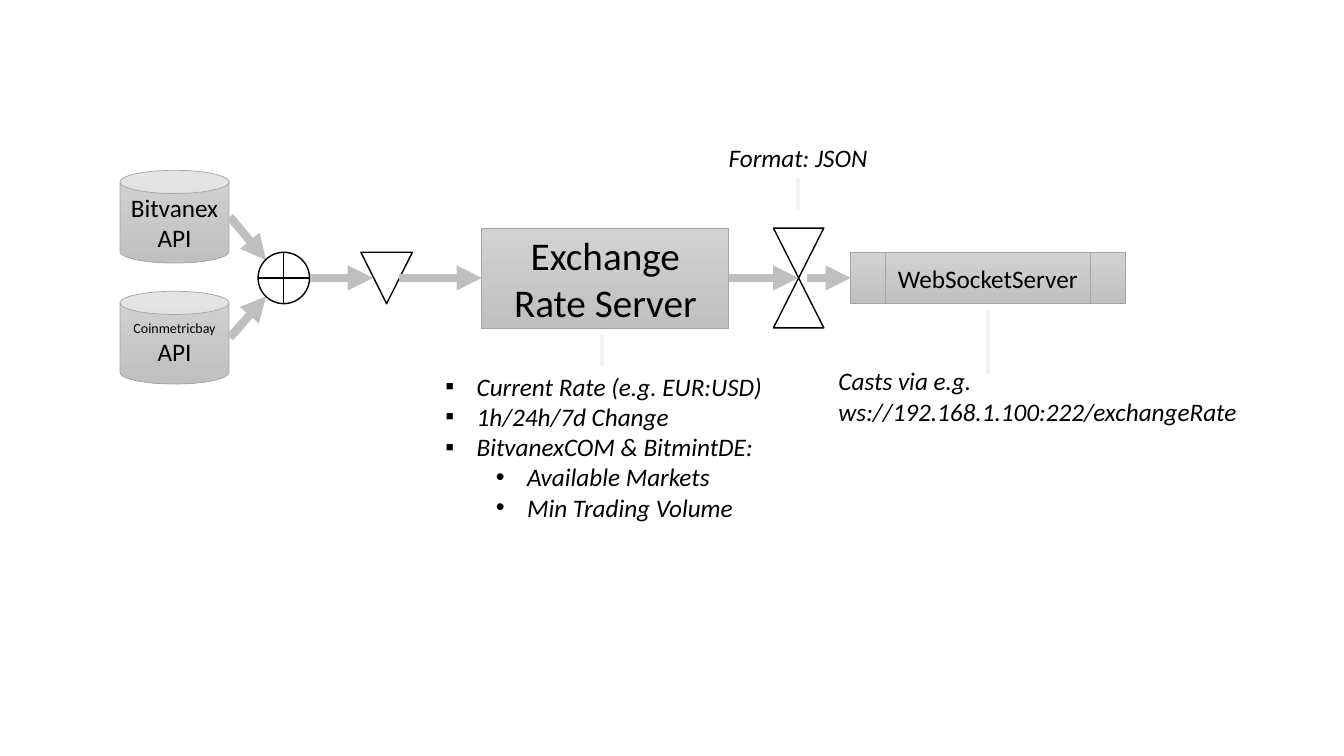
from lxml.etree import SubElement
from pptx import Presentation
from pptx.dml.color import RGBColor
from pptx.enum.shapes import MSO_CONNECTOR, MSO_SHAPE
from pptx.enum.text import MSO_ANCHOR, MSO_AUTO_SIZE, PP_ALIGN
from pptx.oxml.ns import qn
from pptx.util import Inches, Pt


def rgb(color):
    return RGBColor.from_string(color)


class Diagram:
    font = "Calibri"
    ink = "000000"
    paper = "FFFFFF"
    edge = "A5A5A5"
    gradient = ("D2D2D2", "C0C0C0")
    arrow_color = "BFBFBF"
    leader_color = "F2F2F2"
    axis = 36.77

    def __init__(self, prs):
        self.prs = prs
        self.s = prs.slides.add_slide(prs.slide_layouts[6])

    def x(self, share):
        return round(self.prs.slide_width * share / 100)

    def y(self, share):
        return round(self.prs.slide_height * share / 100)

    def box(self, left, top, width, height):
        return self.x(left), self.y(top), self.x(width), self.y(height)

    def run(self, p, text, size=18, italic=False):
        r = p.add_run()
        r.text = text
        r.font.name = self.font
        r.font.size = Pt(size)
        r.font.italic = italic
        r.font.color.rgb = rgb(self.ink)

    def shape(self, kind, left, width, height, top=None):
        if top is None:
            top = self.axis - height / 2
        sp = self.s.shapes.add_shape(kind, *self.box(left, top, width, height))
        sp.shadow.inherit = False
        return sp

    def block(self, kind, left, width, height, lines, top=None):
        sp = self.shape(kind, left, width, height, top)
        sp.fill.gradient()
        sp.fill.gradient_angle = 270
        for stop, color in zip(sp.fill.gradient_stops, self.gradient):
            stop.color.rgb = rgb(color)
        sp.line.color.rgb = rgb(self.edge)
        sp.line.width = Pt(0.5)
        tf = sp.text_frame
        tf.vertical_anchor = MSO_ANCHOR.MIDDLE
        for i, (text, size) in enumerate(lines):
            p = tf.add_paragraph() if i else tf.paragraphs[0]
            p.alignment = PP_ALIGN.CENTER
            self.run(p, text, size)

    def symbol(self, kind, left, width, height):
        sp = self.shape(kind, left, width, height)
        sp.fill.solid()
        sp.fill.fore_color.rgb = rgb(self.paper)
        sp.line.color.rgb = rgb(self.ink)
        sp.line.width = Pt(1)

    def line(self, x1, y1, x2, y2, color, width):
        c = self.s.shapes.add_connector(
            MSO_CONNECTOR.STRAIGHT, self.x(x1), self.y(y1), self.x(x2), self.y(y2))
        c.line.color.rgb = rgb(color)
        c.line.width = Pt(width)
        SubElement(c._element.spPr, qn("a:effectLst"))
        return c

    def arrow(self, x1, x2, y1=axis, y2=axis):
        c = self.line(x1, y1, x2, y2, self.arrow_color, 6)
        ln = c._element.spPr.find(qn("a:ln"))
        SubElement(ln, qn("a:tailEnd"), type="triangle")

    def leader(self, x, top, bottom):
        self.line(x, top, x, bottom, self.leader_color, 3)

    def bullet(self, p, level):
        p.level = level
        pPr = p._p.get_or_add_pPr()
        pPr.set("marL", str(Inches(0.31 + 0.5 * level)))
        pPr.set("indent", str(Inches(-0.31)))
        SubElement(pPr, qn("a:buFont"), typeface="Arial")
        SubElement(pPr, qn("a:buChar"), char="▪•"[level])

    def note(self, left, top, width, height, lines):
        tb = self.s.shapes.add_textbox(*self.box(left, top, width, height))
        tf = tb.text_frame
        tf.word_wrap = False
        tf.auto_size = MSO_AUTO_SIZE.SHAPE_TO_FIT_TEXT
        for i, (text, level) in enumerate(lines):
            p = tf.add_paragraph() if i else tf.paragraphs[0]
            if level is not None:
                self.bullet(p, level)
            self.run(p, text, italic=True)


def main():
    prs = Presentation()
    prs.slide_width, prs.slide_height = Inches(13.33), Inches(7.5)
    d = Diagram(prs)

    sources = [
        (22.53, [("Bitvanex API", 18)]),
        (38.53, [("Coinmetricbay", 10), ("API", 18)]),
    ]
    for top, lines in sources:
        d.block(MSO_SHAPE.CAN, 8.93, 8.1, 12.27, lines, top)
    d.block(MSO_SHAPE.FLOWCHART_PROCESS, 35.85, 18.38, 13.2,
            [("Exchange", 28), ("Rate Server", 28)])

    d.arrow(17.1, 19.8, 28.67, 34.4)
    d.arrow(17.1, 19.8, 44.67, 39.2)
    d.symbol(MSO_SHAPE.FLOWCHART_OR, 19.2, 3.83, 6.8)
    d.arrow(23.03, 27.75)
    d.block(MSO_SHAPE.FLOWCHART_PREDEFINED_PROCESS, 63.3, 20.4, 6.8,
            [("WebSocketServer", 18)])
    d.symbol(MSO_SHAPE.FLOWCHART_MERGE, 26.85, 3.83, 6.8)
    d.symbol(MSO_SHAPE.FLOWCHART_COLLATE, 57.55, 3.75, 13.2)
    for start, end in [(29.7, 35.85), (54.23, 59.4), (60.08, 63.3)]:
        d.arrow(start, end)

    d.note(61.65, 47.73, 32.18, 9.47, [
        ("Casts via e.g.", None),
        ("ws://192.168.1.100:222/exchangeRate", None),
    ])
    d.note(53.48, 18.13, 11.93, 5.33, [("Format: JSON", None)])
    d.note(32.4, 48.4, 25.35, 25.6, [
        ("Current Rate (e.g. EUR:USD)", 0),
        ("1h/24h/7d Change", 0),
        ("BitvanexCOM & BitmintDE:", 0),
        ("Available Markets", 1),
        ("Min Trading Volume", 1),
    ])
    for x, top, bottom in [(59.4, 23.6, 27.73), (73.5, 41.07, 49.47), (44.78, 44.27, 48.4)]:
        d.leader(x, top, bottom)

    prs.save("out.pptx")


if __name__ == "__main__":
    main()
